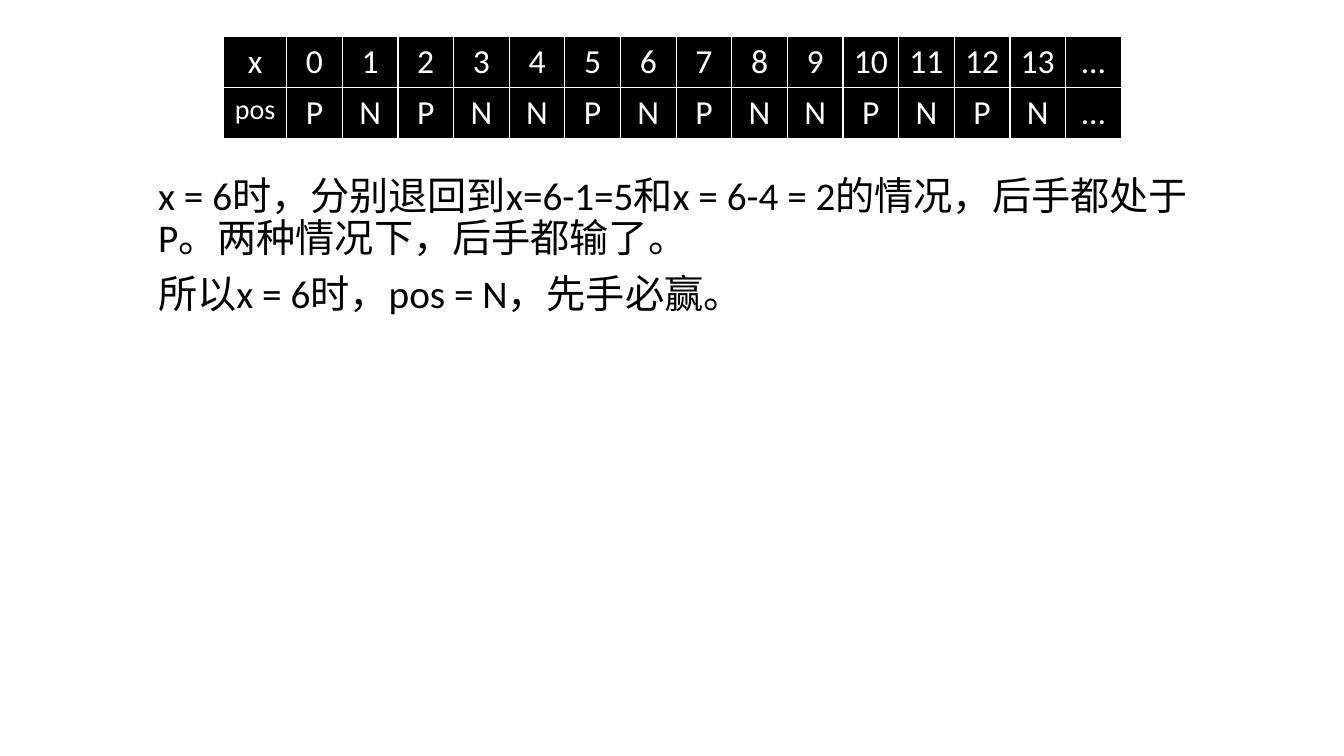
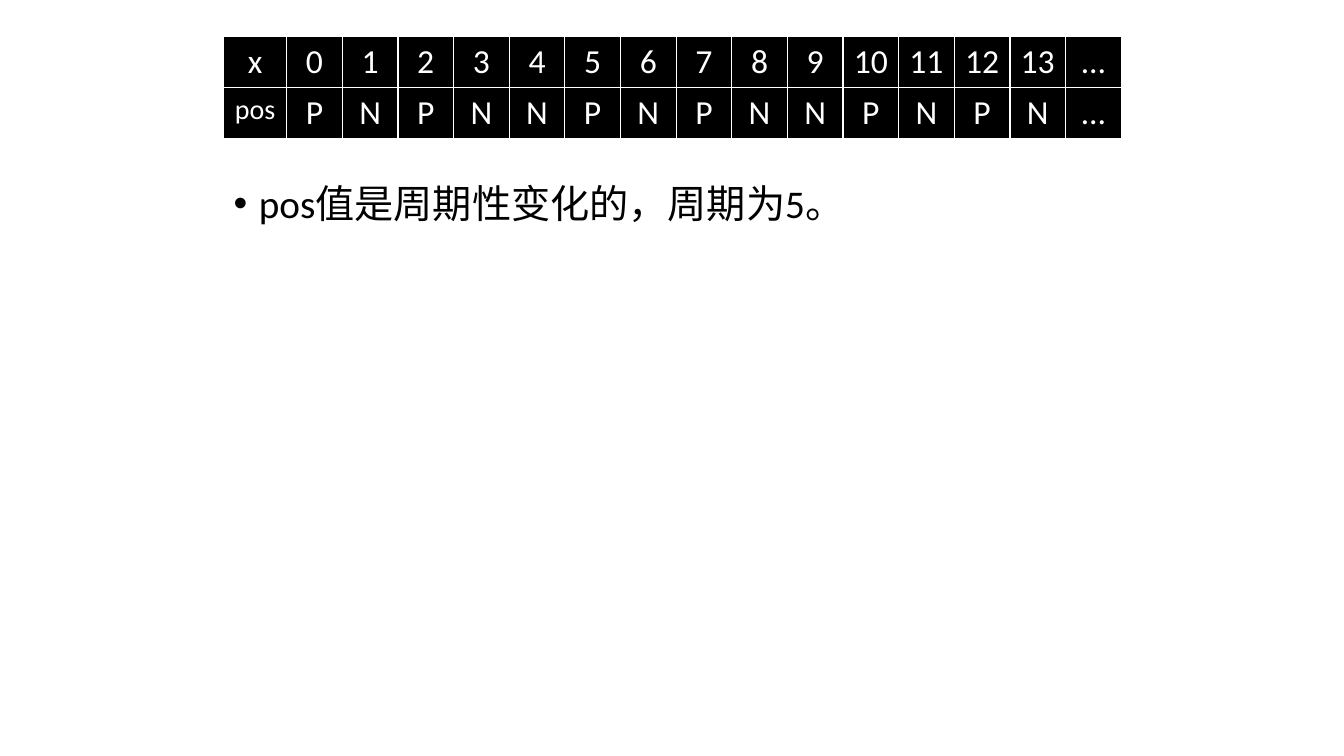
"""Build two slides on winning positions: a shared table of x and pos, with remarks below."""
from dataclasses import dataclass

from lxml.etree import SubElement
from pptx import Presentation
from pptx.dml.color import RGBColor
from pptx.enum.text import MSO_AUTO_SIZE as AutoSize, PP_ALIGN as Align
from pptx.oxml.ns import qn
from pptx.slide import Slide
from pptx.table import _Cell as Cell
from pptx.text.text import _Paragraph as Paragraph
from pptx.util import Emu, Pt

EMU_PER_PX = 9525
FONT = "Calibri"
BLACK, WHITE = "000000", "FFFFFF"
CONTENT_LAYOUT = 1

PERIOD = "PNPNN"
STATES = range(14)
TABLE_ROWS = (
    ("x", *(str(x) for x in STATES), "…"),
    ("pos", *(PERIOD[x % len(PERIOD)] for x in STATES), "…"),
)
TABLE_LEFT, TABLE_TOP = 213, 35
LABEL_WIDTH, STATE_WIDTH, ROW_HEIGHT = 60, 53, 48
CELL_MARGIN = 7
BULLET_INDENT = 24


@dataclass(frozen=True)
class Remark:
    left: int
    top: int
    width: int
    height: int
    lines: tuple[str, ...]
    bulleted: bool = False


REMARKS = (
    Remark(141, 163, 1013, 242, (
        "x = 6时，分别退回到x=6-1=5和x = 6-4 = 2的情况，后手都处于P。两种情况下，后手都输了。",
        "所以x = 6时，pos = N，先手必赢。",
    )),
    Remark(213, 171, 864, 76, ("pos值是周期性变化的，周期为5。",), bulleted=True),
)


def px(length: int) -> Emu:
    """Turn pixels into EMU."""
    return Emu(length * EMU_PER_PX)


def color(value: str) -> RGBColor:
    """Turn a hex string into a colour."""
    return RGBColor.from_string(value)


def style_runs(paragraph: Paragraph, size: int, ink: str) -> None:
    """Give every run of a paragraph the deck's font."""
    for run in paragraph.runs:
        run.font.name = FONT
        run.font.size = Pt(size)
        run.font.color.rgb = color(ink)


def set_bullet(paragraph: Paragraph, bulleted: bool) -> None:
    """Set a hanging bullet, or remove the inherited one."""
    properties = paragraph._p.get_or_add_pPr()
    indent = px(BULLET_INDENT) if bulleted else 0
    properties.set("marL", str(indent))
    properties.set("indent", str(-indent))
    if bulleted:
        SubElement(properties, qn("a:buFont"), typeface="Arial")
        SubElement(properties, qn("a:buChar"), char="•")
    else:
        SubElement(properties, qn("a:buNone"))


def add_borders(cell: Cell) -> None:
    """Draw thin white lines around a cell."""
    properties = cell._tc.get_or_add_tcPr()
    for side in ("lnL", "lnR", "lnT", "lnB"):
        line = SubElement(properties, qn(f"a:{side}"), w=str(Pt(1)))
        fill = SubElement(line, qn("a:solidFill"))
        SubElement(fill, qn("a:srgbClr"), val=WHITE)


def fill_cell(cell: Cell, text: str) -> None:
    """Write and format one table cell."""
    add_borders(cell)
    cell.fill.solid()
    cell.fill.fore_color.rgb = color(BLACK)
    cell.margin_left = cell.margin_right = px(CELL_MARGIN)
    cell.text_frame.text = text
    paragraph = cell.text_frame.paragraphs[0]
    paragraph.alignment = Align.CENTER
    style_runs(paragraph, 20 if text == "pos" else 24, WHITE)


def add_position_table(slide: Slide) -> None:
    """Add the table that maps each x to its position."""
    widths = [LABEL_WIDTH] + [STATE_WIDTH] * (len(TABLE_ROWS[0]) - 1)
    table = slide.shapes.add_table(
        len(TABLE_ROWS), len(widths), px(TABLE_LEFT), px(TABLE_TOP),
        px(sum(widths)), px(ROW_HEIGHT * len(TABLE_ROWS)),
    ).table
    table.first_row = table.horz_banding = False
    for column, width in zip(table.columns, widths):
        column.width = px(width)
    for row, texts in zip(table.rows, TABLE_ROWS):
        row.height = px(ROW_HEIGHT)
        for cell, text in zip(row.cells, texts):
            fill_cell(cell, text)


def fill_remark(slide: Slide, remark: Remark) -> None:
    """Place the body placeholder and write the remark in it."""
    body = slide.placeholders[1]
    body.left, body.top = px(remark.left), px(remark.top)
    body.width, body.height = px(remark.width), px(remark.height)
    frame = body.text_frame
    frame.auto_size = AutoSize.NONE
    frame.text = "\n".join(remark.lines)
    for paragraph in frame.paragraphs:
        paragraph.line_spacing = 0.9
        paragraph.space_before = Pt(10)
        set_bullet(paragraph, remark.bulleted)
        style_runs(paragraph, 28, BLACK)


def main() -> None:
    """Build and save the deck."""
    deck = Presentation()
    deck.slide_width, deck.slide_height = px(1280), px(720)
    for remark in REMARKS:
        slide = deck.slides.add_slide(deck.slide_layouts[CONTENT_LAYOUT])
        empty_title = slide.shapes.title.element
        empty_title.getparent().remove(empty_title)
        fill_remark(slide, remark)
        add_position_table(slide)
    deck.save("out.pptx")


if __name__ == "__main__":
    main()
